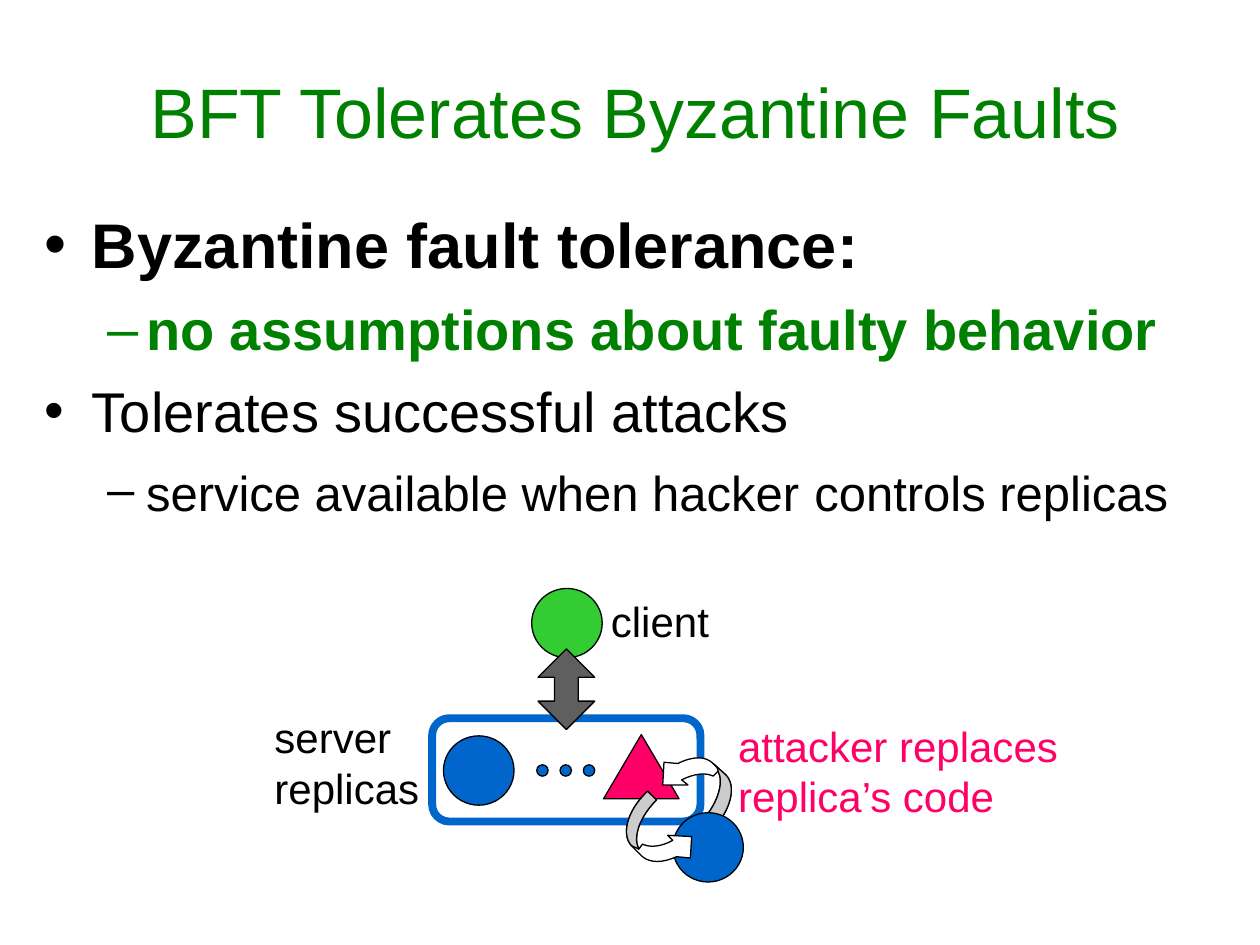
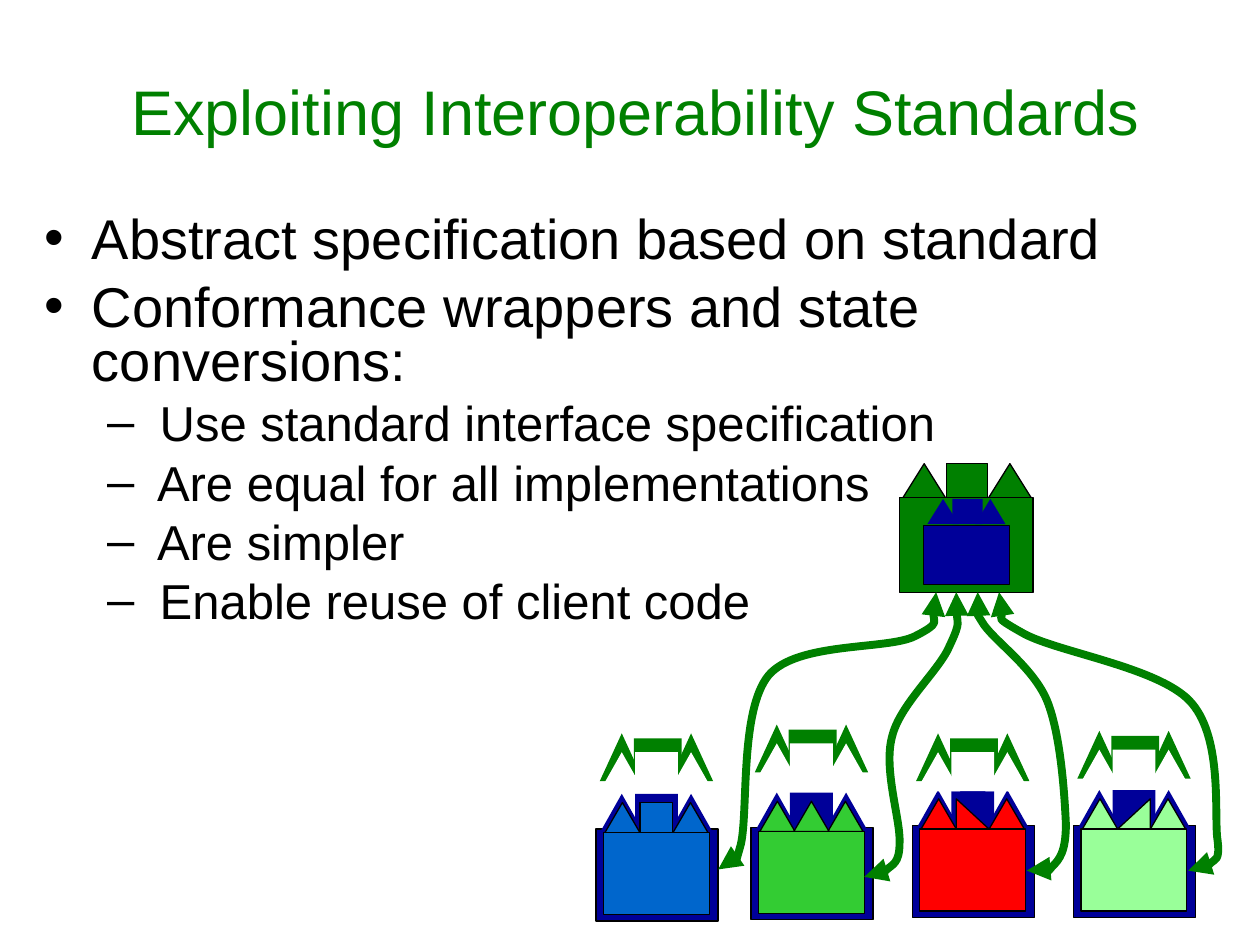
import pptx
import pptx.dml.color
import pptx.enum.shapes
import pptx.enum.text
import pptx.oxml
import pptx.oxml.ns
import pptx.util
from pptx.util import Inches

COLOURS = {
    "title": "008000",
    "text": "000000",
    "white": "FFFFFF",
    "outline": "000000",
    "blue": "0066CC",
    "client": "33CC33",
    "attack": "FF0066",
    "grey": "5F5F5F",
    "shade": "CCCCCC",
    "navy": "000099",
    "red": "FF0000",
    "mint": "99FF99",
}
FONT = "Arial"
KINDS = pptx.enum.shapes.MSO_SHAPE
TRIANGLE, RECT = KINDS.ISOSCELES_TRIANGLE, KINDS.RECTANGLE
CORNER, OVAL = KINDS.RIGHT_TRIANGLE, KINDS.OVAL

# Crown parts: kind, offset x, offset y, width, height
NAVY_CROWN = [
    (TRIANGLE, 0, 0, 0.35, 0.31),
    (RECT, 0.28, 0, 0.34, 0.31),
    (TRIANGLE, 0.55, 0, 0.35, 0.31),
]
WRAPPER_CROWN = [
    (TRIANGLE, 0, 0, 0.35, 0.38),
    (RECT, 0.27, 0.04, 0.38, 0.39),
    (TRIANGLE, 0.55, 0, 0.35, 0.38),
]
CLIENT_CROWN = [
    (TRIANGLE, 0, 0, 0.35, 0.28),
    (TRIANGLE, 0.68, 0, 0.35, 0.28),
    (RECT, 0.35, 0, 0.33, 0.28),
]
CLIENT_CORE_CROWN = [
    (TRIANGLE, 0, 0, 0.25, 0.2),
    (RECT, 0.2, 0, 0.24, 0.2),
    (TRIANGLE, 0.38, 0, 0.24, 0.2),
]
CORE_SIDES = [(TRIANGLE, 0, 0, 0.28, 0.24), (TRIANGLE, 0.54, 0, 0.28, 0.24)]


class SlideBuilder:
    def __init__(self, deck):
        self.deck = deck
        self.page = None

    def new_page(self, title, box, size):
        self.page = self.deck.slides.add_slide(self.deck.slide_layouts[1])
        holder = self.page.shapes.title
        self.place(holder, box)
        frame = holder.text_frame
        frame.text = title
        frame.auto_size = pptx.enum.text.MSO_AUTO_SIZE.NONE
        frame.vertical_anchor = pptx.enum.text.MSO_ANCHOR.MIDDLE
        frame.paragraphs[0].alignment = pptx.enum.text.PP_ALIGN.CENTER
        self.format_span(frame.paragraphs[0].runs[0], size, "title")

    @staticmethod
    def colour(name):
        return pptx.dml.color.RGBColor.from_string(COLOURS[name])

    @staticmethod
    def place(shape, box):
        shape.left, shape.top, shape.width, shape.height = map(Inches, box)

    def format_span(self, span, size, colour="text", bold=False):
        span.font.name = FONT
        span.font.size = pptx.util.Pt(size)
        span.font.bold = bold
        span.font.color.rgb = self.colour(colour)

    def bullets(self, box, items, line_spacing=1.0):
        """Fill the body; an item is level, spans as (text, size), then colour and bold."""
        holder = self.page.placeholders[1]
        self.place(holder, box)
        frame = holder.text_frame
        frame.auto_size = pptx.enum.text.MSO_AUTO_SIZE.NONE
        for index, (level, spans, *style) in enumerate(items):
            para = frame.paragraphs[0] if index == 0 else frame.add_paragraph()
            para.level = level
            para.line_spacing = line_spacing
            para.space_before = pptx.util.Pt(spans[0][1] / 4)
            margin, indent = [(0.38, -0.38), (0.81, -0.31)][level]
            properties = para._p.get_or_add_pPr()
            properties.set("marL", str(Inches(margin)))
            properties.set("indent", str(Inches(indent)))
            for text, size in spans:
                span = para.add_run()
                span.text = text
                self.format_span(span, size, *style)

    def label(self, box, text, colour="text"):
        shape = self.page.shapes.add_textbox(*map(Inches, box))
        frame = shape.text_frame
        frame.word_wrap = False
        frame.text = text
        for para in frame.paragraphs:
            self.format_span(para.runs[0], 24, colour)

    def paint(self, shape, fill, line, width):
        shape.shadow.inherit = False
        if fill:
            shape.fill.solid()
            shape.fill.fore_color.rgb = self.colour(fill)
        else:
            shape.fill.background()
        if line:
            shape.line.color.rgb = self.colour(line)
            shape.line.width = pptx.util.Pt(width)
        else:
            shape.line.fill.background()

    def shape(self, kind, box, fill, line="outline", width=0.75, adjust=()):
        shape = self.page.shapes.add_shape(kind, *map(Inches, box))
        for index, value in enumerate(adjust):
            shape.adjustments[index] = value
        self.paint(shape, fill, line, width)
        return shape

    def outline(self, start, segments, fill=None, line="outline", width=0.75):
        """Draw a freeform; one point is a straight segment, three a Bezier curve."""
        points = [point for segment in segments for point in segment]
        builder = self.page.shapes.build_freeform(*map(Inches, start), scale=1.0)
        builder.add_line_segments(
            [tuple(map(Inches, point)) for point in points], close=bool(fill))
        shape = builder.convert_to_shape()
        steps = iter(list(shape._element.iter(pptx.oxml.ns.qn("a:lnTo"))))
        for segment in segments:
            first, *others = [next(steps) for _ in segment]
            if others:
                first.tag = pptx.oxml.ns.qn("a:cubicBezTo")
                for other in others:
                    first.append(other[0])
                    other.getparent().remove(other)
        self.paint(shape, fill, line, width)
        return shape

    def double_arrow(self, start, *curves):
        shape = self.outline(start, curves, line="title", width=4.5)
        line = shape.line._get_or_add_ln()
        for end in ("headEnd", "tailEnd"):
            line.append(pptx.oxml.parse_xml(
                f'<a:{end} {pptx.oxml.ns.nsdecls("a")} type="triangle"/>'))

    def crown(self, left, top, parts, fill, line=None):
        for kind, x, y, width, height in parts:
            self.shape(kind, (left + x, top + y, width, height), fill, line)

    def replica(self, left, top, wrapper_top, fill, centre):
        """Draw a castle whose core starts at top, with its wrapper above."""
        self.shape(RECT, (left - 0.03, top - 0.03, 0.97, 0.73), "navy")
        self.crown(left, top - 0.31, NAVY_CROWN, "navy")
        core_left, core_top = left + 0.04, top - 0.24
        self.crown(core_left, core_top, CORE_SIDES, fill, "outline")
        kind, flipped = centre
        offset, width = (0.27, 0.28) if kind == TRIANGLE else (0.28, 0.26)
        middle = (core_left + offset, core_top, width, 0.24)
        if flipped:
            middle = (core_left + 0.29, core_top - 0.01, 0.24, 0.26)
        self.shape(kind, middle, fill).rotation = 270 if flipped else 0
        self.shape(RECT, (left + 0.03, top, 0.84, 0.65), fill)
        self.crown(left, wrapper_top, WRAPPER_CROWN, "title")
        self.crown(left, wrapper_top + 0.15, NAVY_CROWN, "white")


def build_fault_page(builder):
    builder.new_page("BFT Tolerates Byzantine Faults", (0.33, 0.25, 9.42, 1.25), 40)
    builder.bullets((0.25, 1.58, 9.75, 4.5), [
        (0, [("Byzantine fault tolerance:", 36)], "text", True),
        (1, [("no assumptions about faulty behavior", 32)], "title", True),
        (0, [("Tolerates successful attacks", 32)]),
        (1, [("service available when hacker", 28), (" ", 32), ("controls replicas", 28)]),
    ])
    builder.shape(KINDS.ROUNDED_RECTANGLE, (3.43, 5.7, 2.13, 0.82), None, "blue", 4.5)
    builder.label((4.75, 4.68, 0.98, 0.5), "client")
    builder.label((2.08, 5.6, 1.35, 0.9), "server\nreplicas")
    builder.shape(TRIANGLE, (4.79, 5.83, 0.6, 0.51), "attack")

    swap_out = (5.64, 6.6)
    outer = [(5.8, 6.44), (5.85, 6.24), (5.76, 6.15)]
    inner = [[(5.7, 6.12)], [(5.75, 6.22), (5.69, 6.39), (5.56, 6.53)]]
    builder.outline(swap_out, [
        outer, [(5.66, 6.06)], [(5.6, 6), (5.5, 6), (5.38, 6.06)],
        [(5.27, 6.05)], [(5.26, 6.23)], [(5.46, 6.23)], [(5.41, 6.19)],
        [(5.51, 6.14), (5.6, 6.13), (5.66, 6.16)], *inner], "white")
    builder.outline(swap_out, [
        outer, [(5.66, 6.06)], [(5.67, 6.07), (5.68, 6.08), (5.69, 6.09)],
        *inner], "shade")

    builder.shape(OVAL, (3.52, 5.84, 0.56, 0.55), "blue")
    for index in range(3):
        builder.shape(OVAL, (4.26 + index * 0.185, 6.07, 0.09, 0.09), "blue")
    builder.shape(OVAL, (4.22, 4.67, 0.56, 0.55), "client")
    builder.shape(KINDS.UP_DOWN_ARROW, (4.27, 5.15, 0.45, 0.64), "grey",
                  adjust=(0.46, 0.42))
    builder.shape(OVAL, (5.34, 6.45, 0.56, 0.55), "blue")

    swap_in = (5.14, 6.28)
    outer = [(4.98, 6.43), (4.93, 6.62), (5.01, 6.71)]
    inner = [[(5.07, 6.74)], [(5.02, 6.64), (5.08, 6.48), (5.21, 6.35)]]
    builder.outline(swap_in, [
        outer, [(5.1, 6.8)], [(5.16, 6.85), (5.26, 6.85), (5.37, 6.8)],
        [(5.48, 6.81)], [(5.49, 6.64)], [(5.3, 6.63)], [(5.34, 6.67)],
        [(5.25, 6.72), (5.16, 6.73), (5.1, 6.7)], *inner], "white")
    builder.outline(swap_in, [
        outer, [(5.02, 6.72), (5.03, 6.72), (5.05, 6.73)], *inner], "shade")
    builder.label((5.76, 5.67, 2.74, 0.9), "attacker replaces\nreplica’s code", "attack")


def build_standards_page(builder):
    builder.new_page("Exploiting Interoperability Standards",
                     (0.42, 0.25, 9.25, 1.25), 36)
    builder.bullets((0.25, 1.67, 9.75, 4.75), [
        (0, [("Abstract specification based on standard", 32)]),
        (0, [("Conformance wrappers and state conversions:", 32)]),
        (1, [(" Use standard interface specification", 28)]),
        (1, [(" Are equal for all implementations", 28)]),
        (1, [(" Are simpler", 28)]),
        (1, [(" Enable reuse of client code", 28)]),
    ], line_spacing=0.8)

    builder.crown(7.16, 3.68, CLIENT_CROWN, "title", "outline")
    builder.shape(RECT, (7.14, 3.95, 1.06, 0.75), "title")
    builder.shape(RECT, (7.33, 4.17, 0.68, 0.47), "navy")
    builder.crown(7.36, 3.96, CLIENT_CORE_CROWN, "navy")

    for left, top, wrapper_top, fill, centre in [
        (4.76, 6.61, 5.82, "blue", (RECT, False)),
        (5.99, 6.6, 5.75, "client", (TRIANGLE, False)),
        (7.27, 6.58, 5.82, "red", (CORNER, False)),
        (8.55, 6.58, 5.8, "mint", (CORNER, True)),
    ]:
        builder.replica(left, top, wrapper_top, fill, centre)

    builder.double_arrow(
        (5.7, 6.9),
        [(5.73, 6.87), (5.81, 6.95), (5.88, 6.7)],
        [(5.94, 6.44), (5.87, 5.64), (6.1, 5.36)],
        [(6.33, 5.09), (7.04, 5.16), (7.26, 5.05)],
        [(7.48, 4.94), (7.39, 4.78), (7.43, 4.7)])
    builder.double_arrow(
        (8.15, 6.91),
        [(8.18, 6.91), (8.3, 6.94), (8.35, 6.88)],
        [(8.41, 6.82), (8.46, 6.76), (8.46, 6.54)],
        [(8.45, 6.32), (8.42, 5.83), (8.31, 5.56)],
        [(8.2, 5.3), (7.91, 5.1), (7.81, 4.96)],
        [(7.72, 4.82), (7.74, 4.76), (7.76, 4.7)])
    builder.double_arrow(
        (9.43, 6.91),
        [(9.5, 6.9), (9.56, 6.9), (9.6, 6.86)],
        [(9.64, 6.81), (9.69, 6.85), (9.66, 6.64)],
        [(9.64, 6.42), (9.7, 5.83), (9.44, 5.56)],
        [(9.18, 5.29), (8.36, 5.17), (8.11, 5.02)],
        [(7.86, 4.88), (7.97, 4.77), (7.93, 4.7)])
    builder.double_arrow(
        (6.86, 6.96),
        [(6.93, 6.97), (6.99, 6.96), (7.03, 6.91)],
        [(7.08, 6.86), (7.14, 6.86), (7.14, 6.69)],
        [(7.15, 6.51), (7.01, 6.11), (7.08, 5.85)],
        [(7.14, 5.59), (7.46, 5.32), (7.54, 5.12)],
        [(7.63, 4.93), (7.58, 4.79), (7.59, 4.7)])


def main():
    deck = pptx.Presentation()
    deck.slide_width, deck.slide_height = Inches(10), Inches(7.5)
    builder = SlideBuilder(deck)
    build_fault_page(builder)
    build_standards_page(builder)
    deck.save("out.pptx")


if __name__ == "__main__":
    main()
